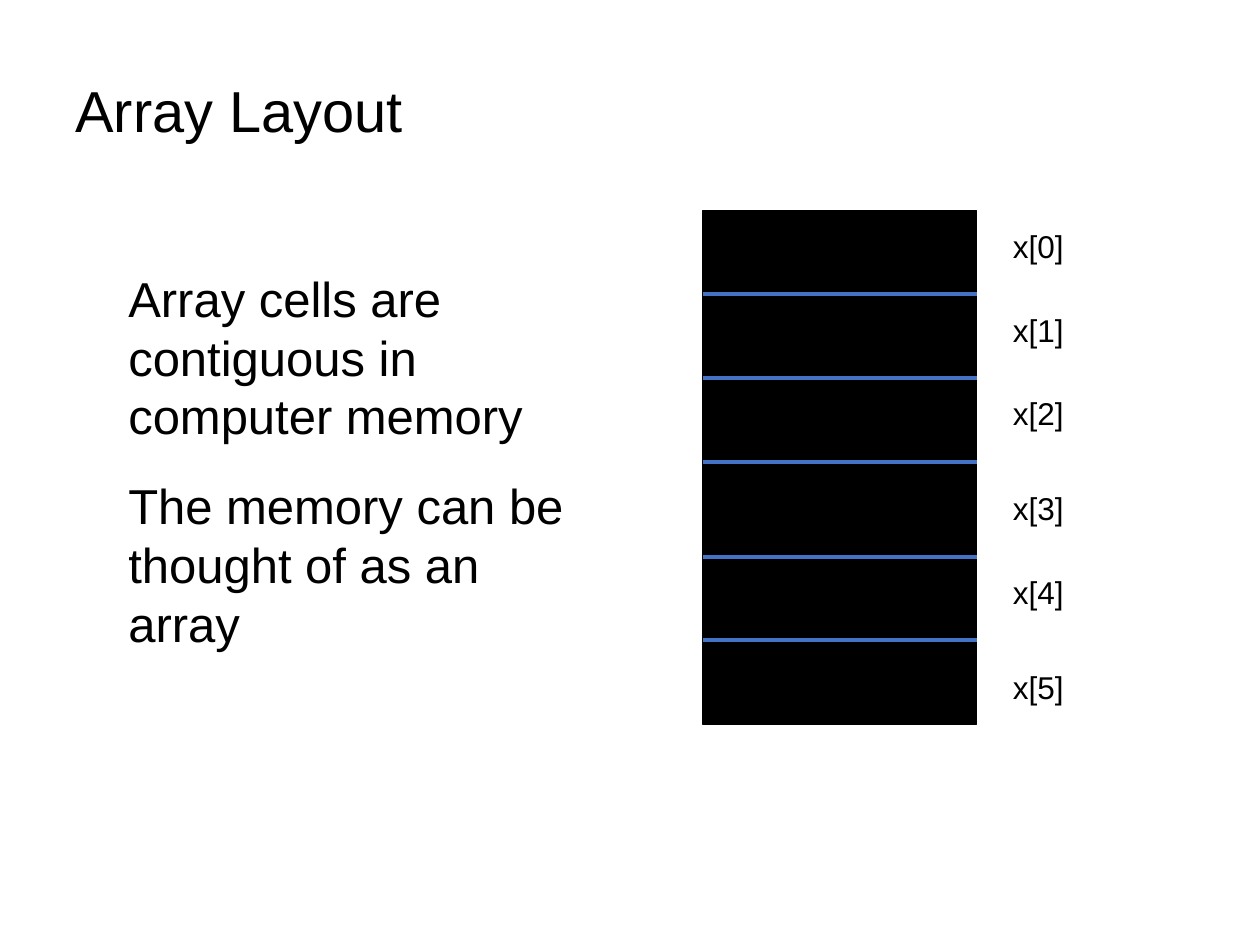
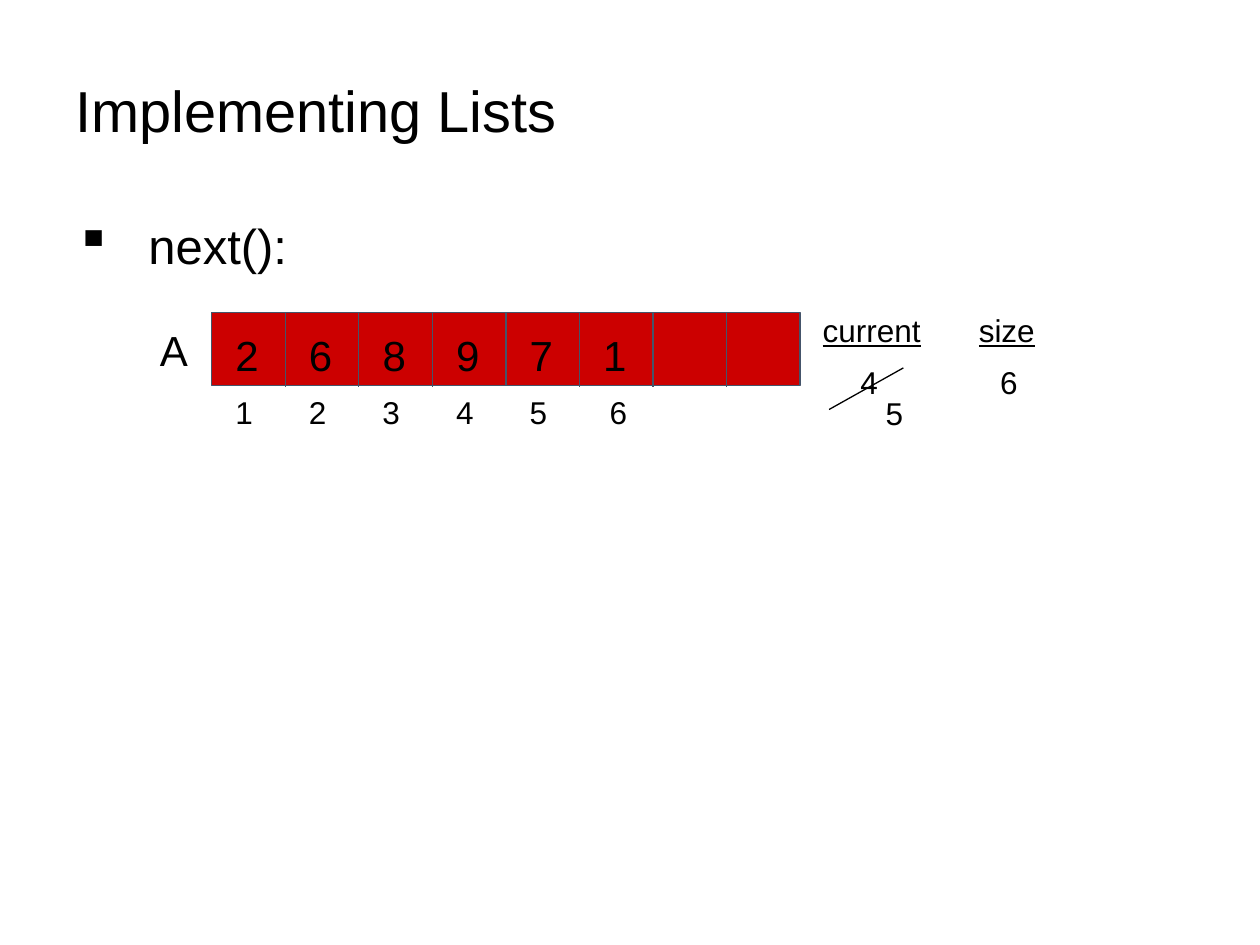
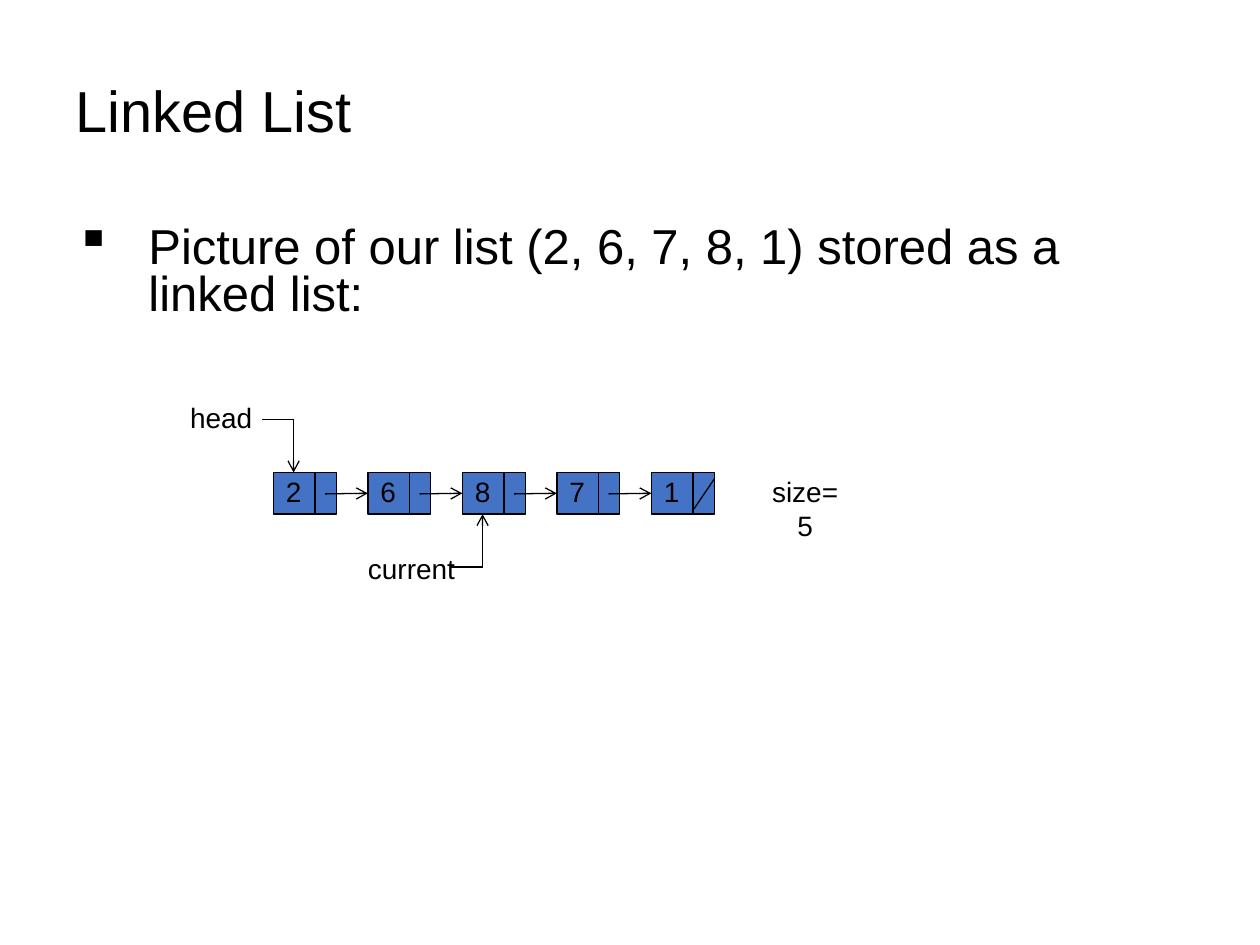
from lxml.etree import SubElement
from pptx import Presentation
from pptx.dml.color import RGBColor
from pptx.enum.shapes import MSO_CONNECTOR as Connector, MSO_SHAPE as Shape
from pptx.enum.text import MSO_ANCHOR as Anchor, PP_ALIGN as Align
from pptx.oxml.ns import qn
from pptx.util import Inches, Pt

BLACK, BLUE, RED, SLATE = "000000", "4472C4", "CC0000", "44546A"
FONT = "Arial"


def color(hex_string):
    """Turn a hex string into a colour."""
    return RGBColor.from_string(hex_string)


def write(paragraph, text, size=18, underline=None, align=None, spacing=None,
          before=None, bullet=None):
    """Fill a paragraph with formatted text."""
    if bullet:
        properties = paragraph._p.get_or_add_pPr()
        properties.set("marL", str(Inches(0.58)))
        properties.set("indent", str(Inches(-0.58)))
        bullet_color = SubElement(properties, qn("a:buClr"))
        SubElement(bullet_color, qn("a:srgbClr"), val=BLACK)
        SubElement(properties, qn("a:buChar"), char=bullet)
    paragraph.alignment = align
    paragraph.line_spacing = spacing
    if before:
        paragraph.space_before = Pt(before)
    run = paragraph.add_run()
    run.text = text
    run.font.name = FONT
    run.font.size = Pt(size)
    run.font.underline = underline
    run.font.color.rgb = color(BLACK)


class Deck:
    """Hold the shared style and the current slide."""

    def __init__(self):
        """Start a deck of 10 by 7.5 inch slides."""
        self.presentation = Presentation()
        self.presentation.slide_width = Inches(10)
        self.presentation.slide_height = Inches(7.5)
        self.slide = None

    def new_slide(self, title):
        """Add a blank slide with its title."""
        self.slide = self.presentation.slides.add_slide(self.presentation.slide_layouts[6])
        self.text(0.5, 0.4, 9, 1, title, wrap=True, anchor=Anchor.MIDDLE, size=33, spacing=0.9)

    def text(self, left, top, width, height, *texts, wrap=False, anchor=Anchor.TOP,
             gap=None, **style):
        """Add a text box with one paragraph per text."""
        box = self.slide.shapes.add_textbox(
            Inches(left), Inches(top), Inches(width), Inches(height))
        frame = box.text_frame
        frame.word_wrap = wrap
        frame.vertical_anchor = anchor
        for number, text in enumerate(texts):
            paragraph = frame.add_paragraph() if number else frame.paragraphs[0]
            write(paragraph, text, before=gap if number else None, **style)

    def bullet(self, text, height):
        """Add the bulleted statement under the title."""
        self.text(0.5, 1.75, 9, height, text, wrap=True, size=28, spacing=0.8, bullet="▪")

    def rect(self, left, top, width, height, fill, outline=BLACK):
        """Add a filled rectangle."""
        rect = self.slide.shapes.add_shape(
            Shape.RECTANGLE, Inches(left), Inches(top), Inches(width), Inches(height))
        rect.shadow.inherit = False
        rect.fill.solid()
        rect.fill.fore_color.rgb = color(fill)
        rect.line.color.rgb = color(outline)
        rect.line.width = Pt(0.75)
        return rect

    def line(self, x1, y1, x2, y2, stroke=BLACK, width=0.75, arrow=False,
             begin=None, end=None):
        """Add a straight line, joined to (shape, side) pairs when given."""
        line = self.slide.shapes.add_connector(
            Connector.STRAIGHT, Inches(x1), Inches(y1), Inches(x2), Inches(y2))
        line.line.color.rgb = color(stroke)
        line.line.width = Pt(width)
        if arrow:
            SubElement(line.line._get_or_add_ln(), qn("a:tailEnd"), type="arrow")
        SubElement(line._element.spPr, qn("a:effectLst"))
        if begin:
            line.begin_connect(*begin)
        if end:
            line.end_connect(*end)


def array_layout(deck):
    """Show an array as contiguous memory."""
    deck.new_slide("Array Layout")
    deck.rect(5.58, 1.67, 2.17, 4.08, BLACK)
    for boundary in (2.33, 3, 3.67, 4.42, 5.08):
        deck.line(5.58, boundary, 7.75, boundary, BLUE, 2.25)
    for index, top in enumerate((1.75, 2.42, 3.08, 3.83, 4.5, 5.25)):
        deck.text(7.94, top, 0.6, 0.4, f"x[{index}]")
    deck.text(0.92, 2.08, 3.92, 3.15, "Array cells are contiguous in computer memory",
              "The memory can be thought of as an array", wrap=True, size=28, gap=17.5)


def implementing_lists(deck):
    """Show next() moving the current position in an array."""
    deck.new_slide("Implementing Lists")
    deck.bullet("next():", 0.67)
    left, top, bottom, cells = 1.68, 2.48, 3.07, 8
    cell = 4.67 / cells
    array = deck.rect(left, top, cell * cells, 0.58, RED, SLATE)
    for number in range(1, cells):
        x = left + cell * number
        middle = number == cells // 2
        deck.line(x, top, x, bottom, SLATE,
                  begin=(array, 0) if middle else None, end=(array, 2) if middle else None)
    deck.text(1.17, 2.53, 0.42, 0.5, "A", size=24)
    for number, value in enumerate("268971"):
        deck.text(1.77 + cell * number, 2.57, 0.38, 0.5, value, size=24)
    for number in range(5):
        deck.text(1.77 + cell * number, bottom, 0.34, 0.4, str(number + 1))
    deck.text(4.74, bottom, 0.34, 0.4, "6")
    deck.text(6.43, 2.42, 0.98, 0.4, "current", underline=True)
    deck.text(7.67, 2.42, 0.7, 0.4, "size", wrap=True, underline=True)
    for x, y, value in ((6.73, 2.83, "4"), (7.84, 2.83, "6"), (6.93, 3.08, "5")):
        deck.text(x, y, 0.34, 0.4, value)
    deck.line(6.58, 3.25, 7.17, 2.92)


def linked_list(deck):
    """Show the list as nodes joined by arrows."""
    deck.new_slide("Linked List")
    deck.bullet("Picture of our list (2, 6, 7, 8, 1) stored as a linked list:", 1)
    top, bottom, middle = 3.75, 4.08, 3.92
    previous_left = None
    for number, value in enumerate("26871"):
        left = 2.17 + 0.75 * number
        node = deck.rect(left, top, 0.5, 0.33, BLUE)
        deck.line(left + 0.33, top, left + 0.33, bottom)
        deck.text(left, 3.72, 0.27, 0.37, value, wrap=True, size=16)
        if previous_left:
            deck.line(previous_left + 0.41, middle, left, middle, arrow=True, end=(node, 1))
        previous_left = left
    deck.line(5.67, 3.8, 5.5, 4.05)
    for label, left, label_top, width in (
            ("head", 1.41, 3.13, 0.69), ("current", 2.82, 4.33, 0.89), ("size=5", 5.97, 3.72, 0.84)):
        deck.text(left, label_top, width, 0.37, label, size=16, align=Align.CENTER)
    for start, turn, y, node_edge in ((2.08, 2.33, 3.33, top), (3.58, 3.83, 4.5, bottom)):
        deck.line(start, y, turn, y)
        deck.line(turn, y, turn, node_edge, arrow=True)


def main():
    """Build and save the three slides."""
    deck = Deck()
    array_layout(deck)
    implementing_lists(deck)
    linked_list(deck)
    deck.presentation.save("out.pptx")


if __name__ == "__main__":
    main()
